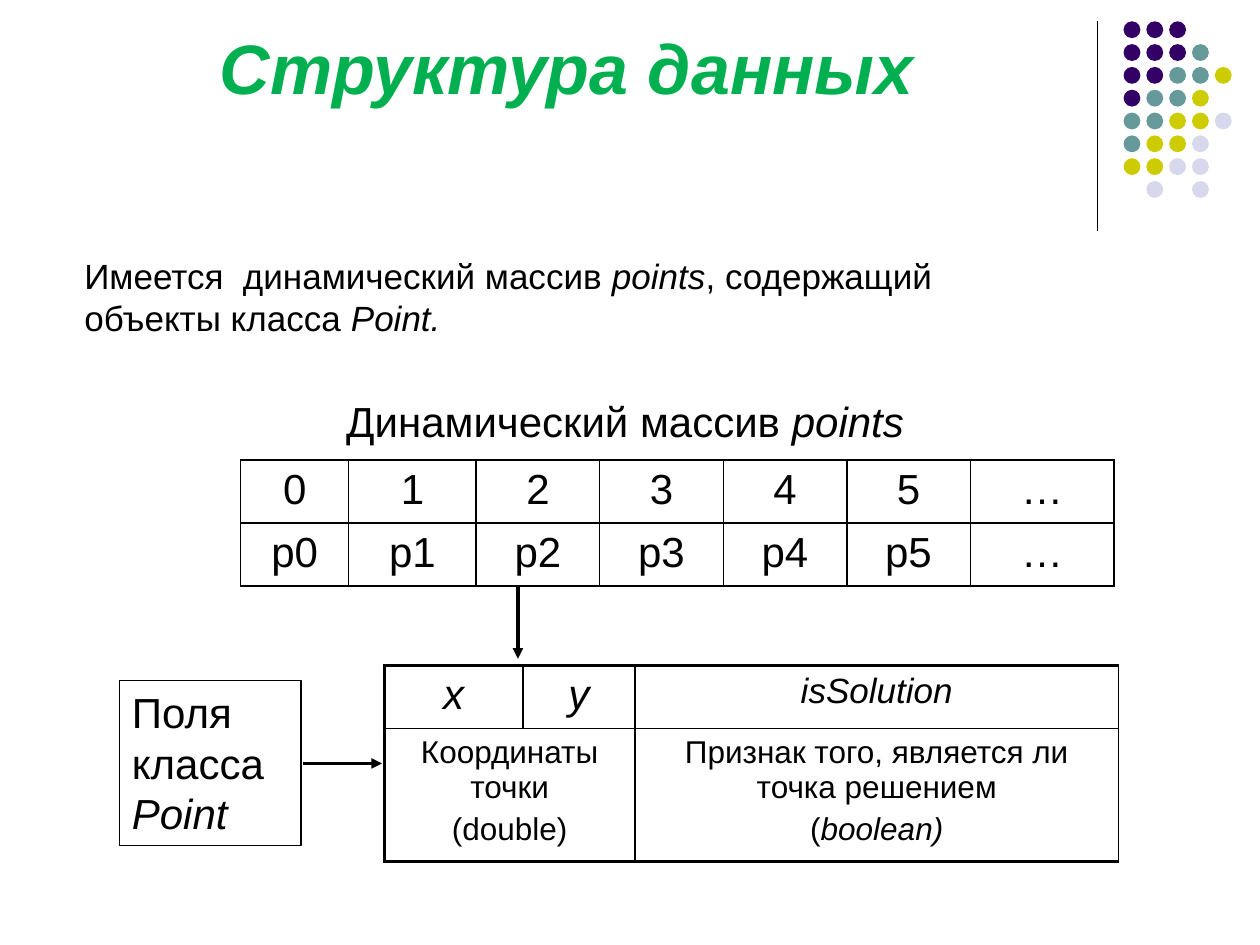
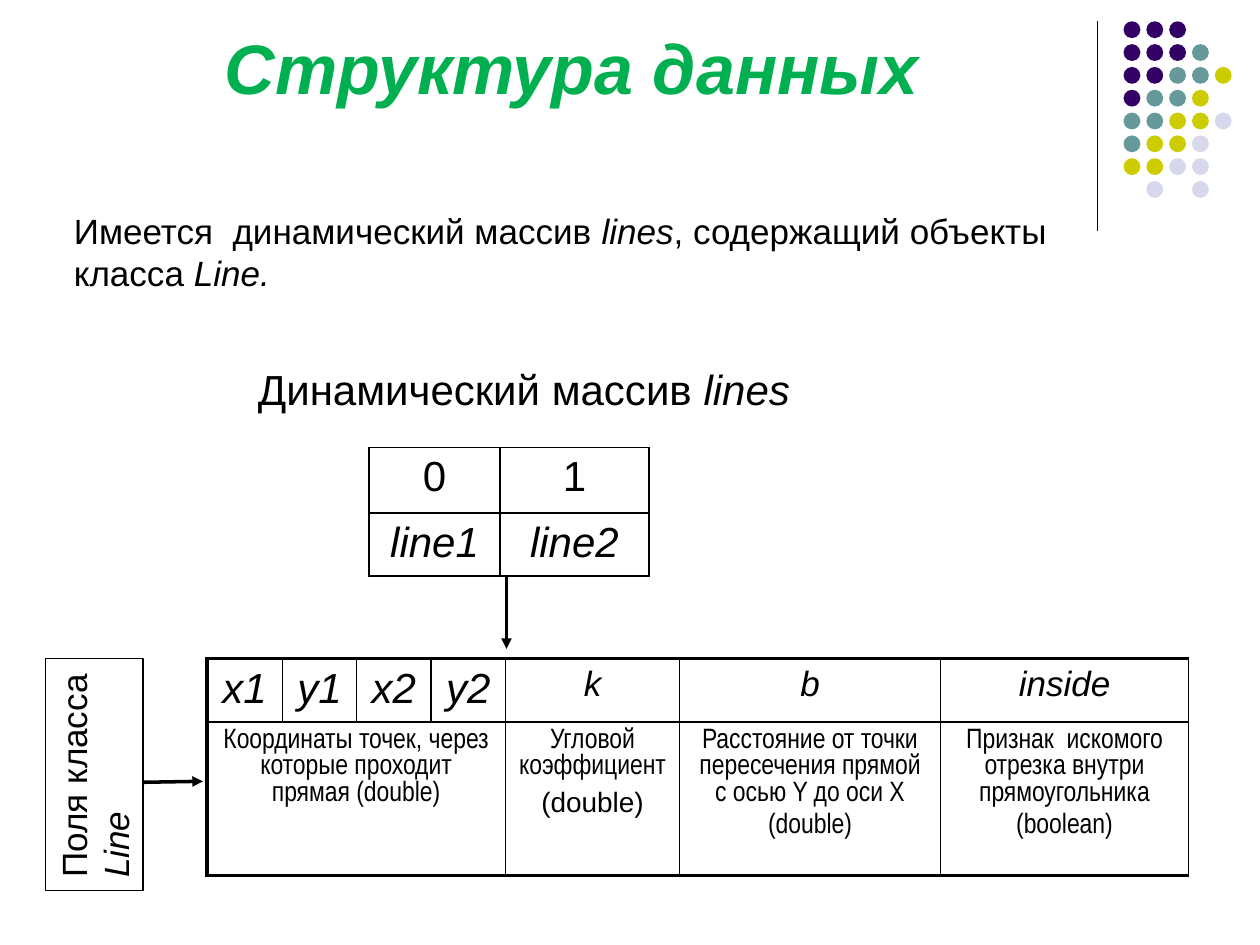
"""Build two slides on the data structures behind the points and lines arrays."""
from dataclasses import dataclass
from typing import NamedTuple

import lxml.etree
import pptx
import pptx.dml.color
import pptx.enum.shapes
import pptx.enum.text
import pptx.oxml.ns
import pptx.util

Cm = pptx.util.Cm
Pt = pptx.util.Pt
Align = pptx.enum.text.PP_ALIGN
Anchor = pptx.enum.text.MSO_ANCHOR
Preset = pptx.enum.shapes.MSO_SHAPE
qn = pptx.oxml.ns.qn


@dataclass(frozen=True)
class Theme:
    font: str = "Arial"
    narrow: str = "Arial Narrow"
    ink: str = "000000"
    title: str = "00B050"
    title_size: float = 40
    large: float = 24
    medium: float = 20
    note: float = 18
    small: float = 16
    hairline: float = 0.75
    thin: float = 1
    arrow: float = 2
    thick: float = 2.25


THEME = Theme()
DOT_COLORS = {"P": "330066", "T": "669999", "Y": "CCCC00", "L": "D8D8EC"}
DOT_ROWS = ("PPP", "PPPT", "PPTTY", "PTTY", "TTYYL", "TYYL", "YYLL", " L L")


class Box(NamedTuple):
    left: float
    top: float
    width: float
    height: float


class Arrow(NamedTuple):
    x1: float
    y1: float
    x2: float
    y2: float


class Run(NamedTuple):
    text: str
    italic: bool = False


@dataclass(frozen=True)
class Paragraph:
    runs: tuple[Run, ...]
    size: float = THEME.large
    font: str = THEME.font
    color: str = THEME.ink
    bold: bool = False
    align: Align = Align.LEFT


@dataclass(frozen=True)
class Cell:
    paragraphs: tuple[Paragraph, ...]
    span: int = 1


@dataclass(frozen=True)
class Grid:
    left: float
    top: float
    columns: tuple[float, ...]
    rows: tuple[float, ...]
    cells: tuple[tuple[Cell, ...], ...]
    framed: bool = False


@dataclass(frozen=True)
class DataSlide:
    title_left: float
    intro: Box
    array_name: str
    class_name: str
    caption: Box
    array: Grid
    fields: Grid
    arrows: tuple[Arrow, ...]
    label: Box
    label_size: float
    label_rotation: float = 0


def centered(text: str, size: float = THEME.large, italic: bool = False,
             font: str = THEME.font) -> Paragraph:
    return Paragraph((Run(text, italic),), size, font, align=Align.CENTER)


def row(names: str, size: float = THEME.large, italic: bool = False) -> tuple[Cell, ...]:
    return tuple(Cell((centered(name, size, italic),)) for name in names.split())


def narrow(*texts: str, span: int = 1) -> Cell:
    return Cell(tuple(centered(text, THEME.small, font=THEME.narrow) for text in texts), span)


def rgb(color: str) -> pptx.dml.color.RGBColor:
    return pptx.dml.color.RGBColor.from_string(color)


def write(frame, paragraphs: tuple[Paragraph, ...], anchor: Anchor = Anchor.TOP) -> None:
    frame.word_wrap = True
    frame.vertical_anchor = anchor
    for index, source in enumerate(paragraphs):
        target = frame.add_paragraph() if index else frame.paragraphs[0]
        target.alignment = source.align
        target.space_before = Pt(round(source.size * 0.23, 1) if index else 0)
        target.font.name = source.font
        target.font.size = Pt(source.size)
        target.font.bold = source.bold
        target.font.color.rgb = rgb(source.color)
        uniform = len({part.italic for part in source.runs}) == 1
        if uniform:
            target.font.italic = source.runs[0].italic
        for part in source.runs:
            run = target.add_run()
            run.text = part.text
            if not uniform:
                run.font.italic = part.italic


def draw_text(slide, box: Box, paragraph: Paragraph, anchor: Anchor = Anchor.TOP) -> None:
    area = slide.shapes.add_textbox(*map(Cm, box))
    write(area.text_frame, (paragraph,), anchor)


def draw_line(slide, ends: Arrow, width: float, pointed: bool = False) -> None:
    line = slide.shapes.add_connector(
        pptx.enum.shapes.MSO_CONNECTOR.STRAIGHT, *map(Cm, ends))
    line.line.color.rgb = rgb(THEME.ink)
    line.line.width = Pt(width)
    if pointed:
        lxml.etree.SubElement(line.line._get_or_add_ln(), qn("a:tailEnd"), type="triangle")
    lxml.etree.SubElement(line._element.spPr, qn("a:effectLst"))


def draw_dots(slide) -> None:
    left, top, pitch, diameter = 22.65, 0.43, 0.46, 0.34
    dots = slide.shapes.add_group_shape()
    for row_index, pattern in enumerate(DOT_ROWS):
        for column, key in enumerate(pattern):
            if key == " ":
                continue
            dot = dots.shapes.add_shape(
                Preset.OVAL, Cm(left + column * pitch), Cm(top + row_index * pitch),
                Cm(diameter), Cm(diameter))
            dot.shadow.inherit = False
            dot.fill.solid()
            dot.fill.fore_color.rgb = rgb(DOT_COLORS[key])
            dot.line.fill.background()


def draw_border(cell, side: str, width: float) -> None:
    properties = cell._tc.get_or_add_tcPr()
    edge = lxml.etree.SubElement(properties, qn(f"a:{side}"), w=str(Pt(width)))
    fill = lxml.etree.SubElement(edge, qn("a:solidFill"))
    lxml.etree.SubElement(fill, qn("a:srgbClr"), val=THEME.ink)


def draw_grid(slide, grid: Grid) -> None:
    table = slide.shapes.add_table(
        len(grid.rows), len(grid.columns), Cm(grid.left), Cm(grid.top),
        Cm(sum(grid.columns)), Cm(sum(grid.rows))).table
    table.first_row = table.horz_banding = False
    for column, width in zip(table.columns, grid.columns):
        column.width = Cm(width)
    for table_row, height in zip(table.rows, grid.rows):
        table_row.height = Cm(height)
    last_row = len(grid.rows) - 1
    for row_index, cells in enumerate(grid.cells):
        column = 0
        for content in cells:
            cell = table.cell(row_index, column)
            if content.span > 1:
                cell.merge(table.cell(row_index, column + content.span - 1))
            write(cell.text_frame, content.paragraphs)
            column += content.span
        for index in range(len(grid.columns)):
            cell = table.cell(row_index, index)
            outer = {"lnL": index == 0, "lnR": False,
                     "lnT": row_index == 0, "lnB": row_index == last_row}
            for side, heavy in outer.items():
                draw_border(cell, side, THEME.thick if grid.framed and heavy else THEME.thin)
            cell.fill.background()


def draw_label(slide, content: DataSlide) -> None:
    label = slide.shapes.add_shape(Preset.RECTANGLE, *map(Cm, content.label))
    label.rotation = content.label_rotation
    label.shadow.inherit = False
    label.fill.background()
    label.line.color.rgb = rgb(THEME.ink)
    label.line.width = Pt(THEME.hairline)
    runs = (Run("Поля класса "), Run(content.class_name, True))
    write(label.text_frame, (Paragraph(runs, content.label_size),))


def draw_slide(deck, content: DataSlide) -> None:
    slide = deck.slides.add_slide(deck.slide_layouts[6])
    draw_line(slide, Arrow(22.12, 0.43, 22.12, 4.65), THEME.hairline)
    draw_dots(slide)
    draw_text(slide, Box(content.title_left, 0.41, 20.96, 1.9),
              Paragraph((Run("Структура данных", True),), THEME.title_size,
                        color=THEME.title, bold=True, align=Align.CENTER), Anchor.BOTTOM)
    array_name = Run(content.array_name, True)
    draw_text(slide, content.intro, Paragraph((
        Run("Имеется  динамический массив "), array_name,
        Run(", содержащий объекты класса "), Run(f"{content.class_name}.", True)), THEME.medium))
    draw_grid(slide, content.array)
    draw_grid(slide, content.fields)
    for arrow in content.arrows:
        draw_line(slide, arrow, THEME.arrow, pointed=True)
    draw_label(slide, content)
    draw_text(slide, content.caption, Paragraph((Run("Динамический массив "), array_name)))


POINTS = DataSlide(
    title_left=0.94, intro=Box(1.45, 5, 20.45, 2.49),
    array_name="points", class_name="Point", caption=Box(6.73, 7.85, 13.56, 1.27),
    array=Grid(4.85, 9.27, (2.18, 2.57, *[2.49] * 4, 2.9), (1.2, 1.27),
               (row("0 1 2 3 4 5 …"), row("p0 p1 p2 p3 p4 p5 …"))),
    fields=Grid(7.75, 13.41, (2.79, 2.26, 9.75), (1.2, 2.69), (
        row("x y", italic=True) + row("isSolution", THEME.medium, True),
        (Cell((centered("Координаты точки", THEME.note),
               centered("(double)", THEME.note)), span=2),
         Cell((centered("Признак того, является ли точка решением", THEME.note),
               Paragraph((Run("("), Run("boolean)", True)), THEME.note,
                         align=Align.CENTER))))), framed=True),
    arrows=(Arrow(10.44, 11.81, 10.44, 13.28), Arrow(6.1, 15.39, 7.7, 15.39)),
    label=Box(2.41, 13.72, 3.66, 3.33), label_size=THEME.large)

LINES = DataSlide(
    title_left=1.04, intro=Box(1.24, 4.09, 21.16, 2.26),
    array_name="lines", class_name="Line", caption=Box(4.95, 7.21, 13.56, 1.27),
    array=Grid(7.44, 9.02, (2.64, 3), (1.32, 1.22),
               (row("0 1"), row("line1 line2", italic=True))),
    fields=Grid(4.17, 13.28, (1.52, *[1.5] * 3, 3.51, 5.26, 5), (1.2, 2.69), (
        row("x1 y1 x2 y2", italic=True) + row("k b inside", THEME.medium, True),
        (narrow("Координаты точек, через которые проходит прямая (double)", span=4),
         Cell((centered("Угловой коэффициент", THEME.small, font=THEME.narrow),
               centered("(double)", THEME.small))),
         narrow("Расстояние от точки пересечения прямой с осью Y до оси X", "(double)"),
         narrow("Признак  искомого отрезка внутри прямоугольника", "(boolean)"))), framed=True),
    arrows=(Arrow(10.21, 11.61, 10.21, 13.08), Arrow(2.87, 15.77, 4.09, 15.75)),
    label=Box(-0.43, 14.63, 4.67, 1.96), label_size=THEME.medium, label_rotation=270)


def main() -> None:
    deck = pptx.Presentation()
    deck.slide_width, deck.slide_height = Cm(25.4), Cm(19.05)
    for content in (POINTS, LINES):
        draw_slide(deck, content)
    deck.save("out.pptx")


main()
